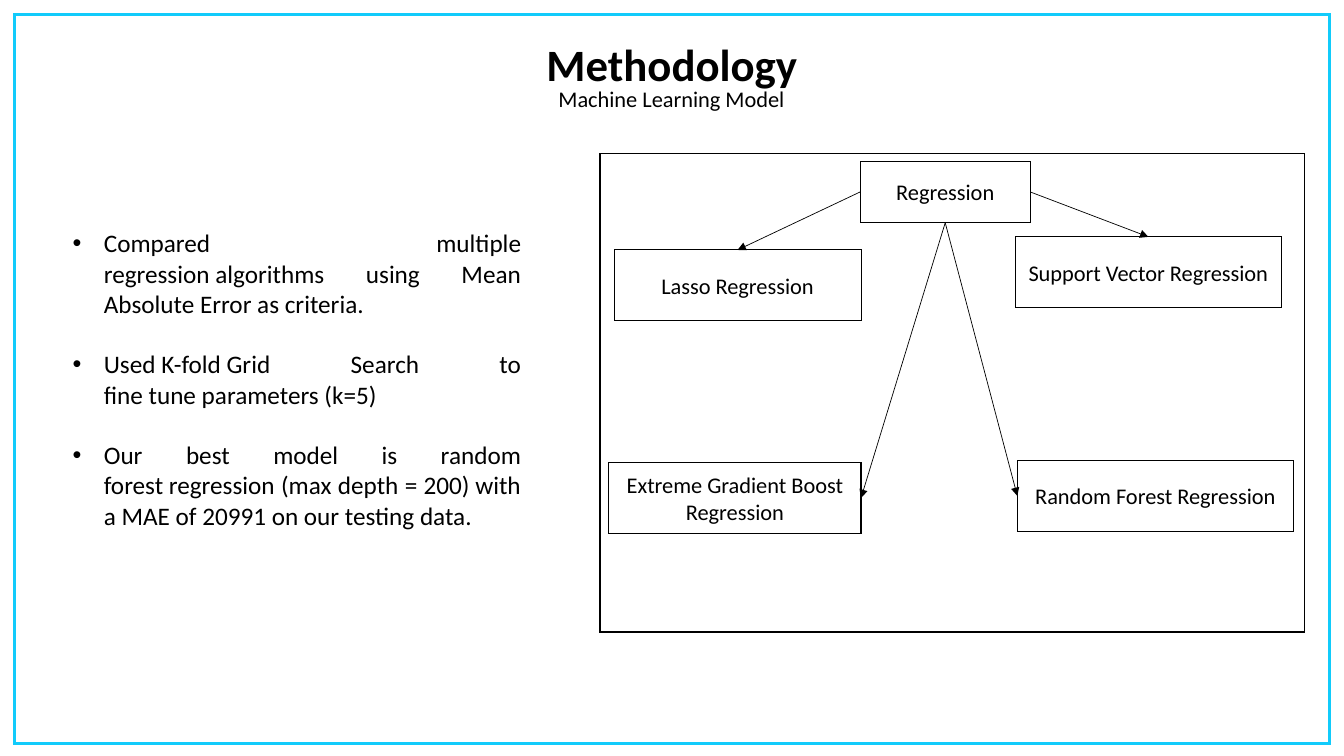
from dataclasses import dataclass

from lxml import etree
from pptx import Presentation, util as u
from pptx.dml.color import RGBColor
from pptx.enum import shapes, text
from pptx.oxml.ns import qn

EMU_PER_PX = 9144  # 100 px to the inch
FONT = "Calibri"
BLACK = "000000"
CYAN = "11CBFB"
TIE, NO_BREAK_SPACE = "~", chr(160)  # a tie in a text stands for a no-break space
TOP, LEFT, BOTTOM, RIGHT = range(4)  # connection sites of a rectangle


@dataclass(frozen=True)
class Box:
    x: int
    y: int
    w: int
    h: int
    label: str = ""


@dataclass(frozen=True)
class Branch:
    """An arrow from a side of the root to a side of a model box."""
    start: int
    model: Box
    end: int


ROOT = Box(853, 160, 169, 61, "Regression")
BRANCHES = [
    Branch(LEFT, Box(609, 248, 245, 70, "Lasso Regression"), TOP),
    Branch(RIGHT, Box(1007, 235, 264, 70, "Support Vector Regression"), TOP),
    Branch(BOTTOM, Box(604, 459, 250, 70, "Extreme Gradient Boost Regression"), RIGHT),
    Branch(BOTTOM, Box(1009, 457, 274, 70, "Random Forest Regression"), LEFT),
]
FINDINGS = [
    "Compared multiple regression~algorithms using Mean Absolute Error as criteria.",
    "Used~K-fold~Grid Search to fine~tune~parameters~(k=5)",
    "Our best model is random forest~regression (max depth = 200)~with a MAE of 20991 on our~testing data.",
]


def px(n: int) -> u.Emu:
    return u.Emu(n * EMU_PER_PX)


def color(value: str) -> RGBColor:
    return RGBColor.from_string(value)


def place(sp, box: Box) -> None:
    sp.left, sp.top, sp.width, sp.height = map(px, (box.x, box.y, box.w, box.h))


def write(tf, lines, size=16, bold=False, align=text.PP_ALIGN.CENTER,
          anchor=text.MSO_ANCHOR.MIDDLE, gap=0, hang=0) -> None:
    """Fill a text frame, one paragraph a line; hang is the bullet indent in px."""
    tf.word_wrap = True
    tf.auto_size = text.MSO_AUTO_SIZE.NONE
    tf.vertical_anchor = anchor
    for i, line in enumerate(lines):
        p = tf.paragraphs[0] if i == 0 else tf.add_paragraph()
        p.alignment = align
        p.space_before = u.Pt(gap if i else 0)
        if hang:
            pPr = p._p.get_or_add_pPr()
            pPr.set("marL", str(px(hang)))
            pPr.set("indent", str(-px(hang)))
        r = p.add_run()
        r.text = line.replace(TIE, NO_BREAK_SPACE)
        r.font.name, r.font.size, r.font.bold = FONT, u.Pt(size), bold
        r.font.color.rgb = color(BLACK)


def add_box(slide, box: Box, line: str = BLACK, weight: float = 0.75):
    sp = slide.shapes.add_shape(
        shapes.MSO_SHAPE.RECTANGLE, *map(px, (box.x, box.y, box.w, box.h)))
    sp.shadow.inherit = False
    sp.fill.background()
    sp.line.color.rgb = color(line)
    sp.line.width = u.Pt(weight)
    etree.SubElement(sp.line._get_or_add_ln(), qn("a:miter"), lim="800000")
    if box.label:
        write(sp.text_frame, [box.label])
    return sp


def add_arrow(slide, source, start: int, target, end: int) -> None:
    cxn = slide.shapes.add_connector(shapes.MSO_CONNECTOR.STRAIGHT, 0, 0, 0, 0)
    cxn.begin_connect(source, start)
    cxn.end_connect(target, end)
    cxn.line.color.rgb = color(BLACK)
    cxn.line.width = u.Pt(0.5)
    etree.SubElement(cxn.line._get_or_add_ln(), qn("a:tailEnd"), type="triangle")
    etree.SubElement(cxn._element.spPr, qn("a:effectLst"))


def main() -> None:
    prs = Presentation()
    prs.slide_width, prs.slide_height = px(1333), px(750)
    slide = prs.slides.add_slide(prs.slide_layouts[1])
    title, body = slide.placeholders

    add_box(slide, Box(14, 14, 1305, 724), CYAN, 2.25)

    place(title, Box(132, 28, 1069, 70))
    write(title.text_frame, ["Methodology"], size=32, bold=True)

    subtitle = slide.shapes.add_textbox(0, 0, 0, 0)
    place(subtitle, Box(479, 63, 374, 70))
    write(subtitle.text_frame, ["Machine Learning Model"])

    place(body, Box(62, 221, 465, 343))
    write(body.text_frame, FINDINGS, size=18, align=text.PP_ALIGN.JUSTIFY,
          anchor=text.MSO_ANCHOR.TOP, gap=21.6, hang=31)

    add_box(slide, Box(595, 152, 699, 475), weight=1)
    root = add_box(slide, ROOT)
    models = [add_box(slide, branch.model) for branch in BRANCHES]
    for branch, model in zip(BRANCHES, models):
        add_arrow(slide, root, branch.start, model, branch.end)

    prs.save("out.pptx")


if __name__ == "__main__":
    main()
